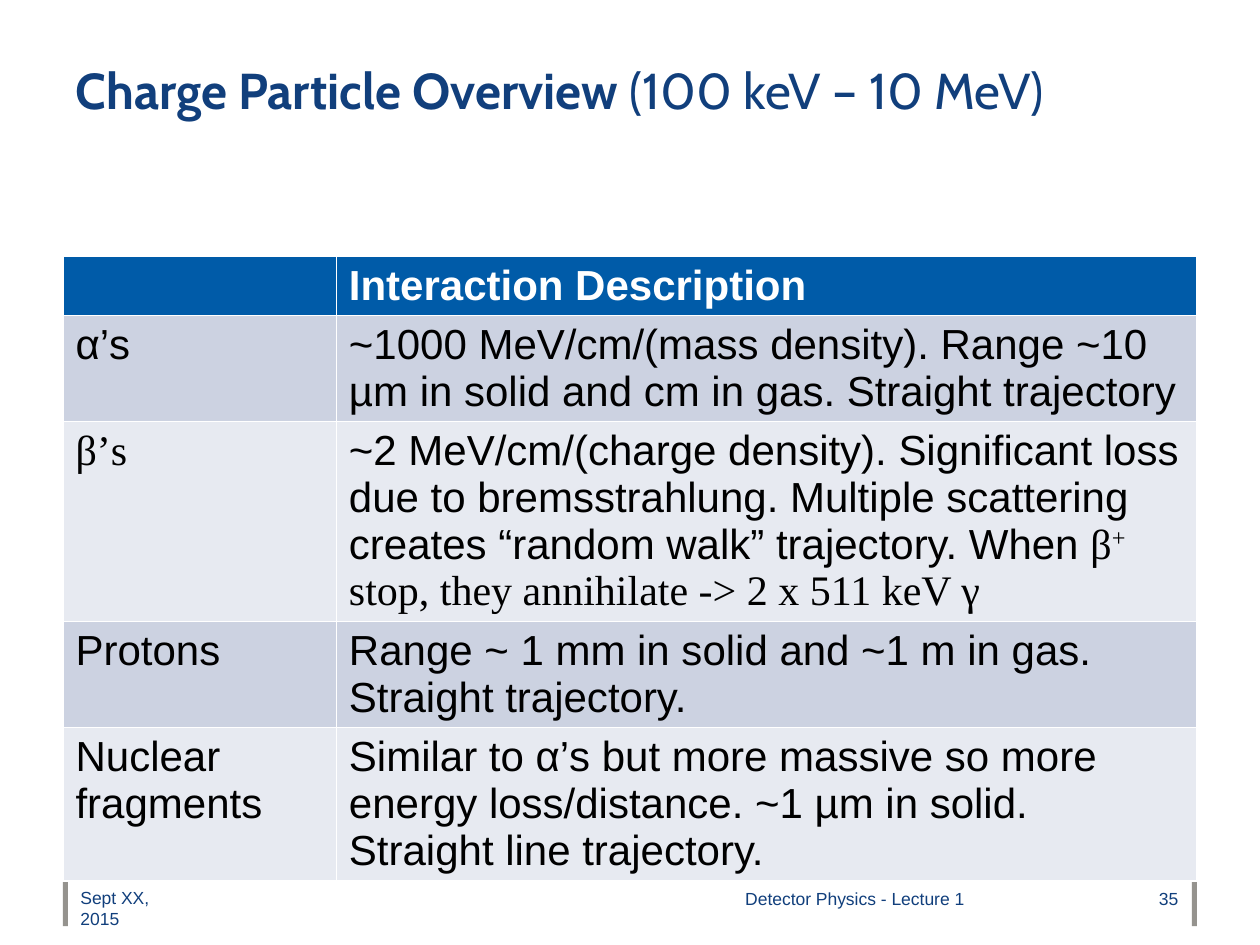
from pptx import Presentation
from pptx.dml.color import RGBColor
from pptx.enum.shapes import MSO_SHAPE
from pptx.enum.text import MSO_ANCHOR, PP_ALIGN
from pptx.util import Inches, Pt

COLORS = {
    "navy": "113F7C", "header": "005BA8", "band_dark": "CCD2E1",
    "band_light": "E7EAF1", "bar": "95938E", "white": "FFFFFF", "black": "000000",
}
SANS, SERIF, TITLE_FONT = "Arial", "Times New Roman", "Cabin"


def color(name):
    return RGBColor.from_string(COLORS[name])


def add_run(paragraph, text, size, font, color_name, bold=False):
    run = paragraph.add_run()
    run.text = text
    run.font.size = Pt(size)
    run.font.name = font
    run.font.bold = bold
    run.font.color.rgb = color(color_name)
    return run


prs = Presentation()
prs.slide_width, prs.slide_height = Inches(10), Inches(7.5)
slide = prs.slides.add_slide(prs.slide_layouts[5])

# Footer bars
for left in (0.5, 9.46):
    bar = slide.shapes.add_shape(
        MSO_SHAPE.RECTANGLE, Inches(left), Inches(7), Inches(0.04), Inches(0.35))
    bar.shadow.inherit = False
    bar.fill.solid()
    bar.fill.fore_color.rgb = color("bar")
    bar.line.fill.background()

# Title
title = slide.shapes.title
title.left, title.top = Inches(0.5), Inches(0.41)
title.width, title.height = Inches(9), Inches(0.66)
title.text_frame.vertical_anchor = MSO_ANCHOR.MIDDLE
heading = title.text_frame.paragraphs[0]
heading.alignment = PP_ALIGN.LEFT
heading.line_spacing = Pt(30.4)
add_run(heading, "Charge Particle Overview ", 28.8, TITLE_FONT, "navy", True)
add_run(heading, "(100 keV – 10 MeV)", 28.8, TITLE_FONT, "navy")

# Interaction table: each cell is a list of (text, font) runs
interactions = [
    [[], [("Interaction Description", SANS)]],
    [[("α’s", SANS)],
     [("~1000 MeV/cm/(mass density). Range ~10 µm in solid and cm in gas. "
       "Straight trajectory", SANS)]],
    [[("β’s", SERIF)],
     [("~2 MeV/cm/(charge density). Significant loss due to bremsstrahlung. "
       "Multiple scattering creates “random walk” trajectory. When ", SANS),
      ("β", SERIF), ("+", SERIF),
      (" stop, they annihilate -> 2 x 511 keV γ", SERIF)]],
    [[("Protons", SANS)],
     [("Range ~ 1 mm in solid and ~1 m in gas. Straight trajectory.", SANS)]],
    [[("Nuclear fragments", SANS)],
     [("Similar to α’s but more massive so more energy loss/distance. "
       "~1 µm in solid. Straight line trajectory.", SANS)]],
]
row_height = Inches(0.41)
table = slide.shapes.add_table(
    len(interactions), 2, Inches(0.5), Inches(2.03), Inches(9),
    row_height * len(interactions)).table
table.columns[0].width, table.columns[1].width = Inches(2.17), Inches(6.83)

for r, row in enumerate(interactions):
    is_header = r == 0
    band = "header" if is_header else ("band_light", "band_dark")[r % 2]
    for c, parts in enumerate(row):
        cell = table.cell(r, c)
        cell.fill.solid()
        cell.fill.fore_color.rgb = color(band)
        for text, font in parts:
            run = add_run(cell.text_frame.paragraphs[0], text, 24, font,
                          "white" if is_header else "black", is_header)
            if text == "+":
                run.font._element.set("baseline", "30000")

# Footer texts
footers = [
    ("Sept XX, 2015", 0.54, 6.99, 0.87, PP_ALIGN.LEFT),
    ("Detector Physics - Lecture 1", 2.63, 7, 5.12, PP_ALIGN.RIGHT),
    ("35", 7.88, 7, 1.57, PP_ALIGN.RIGHT),
]
for text, left, top, width, alignment in footers:
    footer = slide.shapes.add_textbox(
        Inches(left), Inches(top), Inches(width), Inches(0.52)).text_frame
    footer.word_wrap = True
    footer.paragraphs[0].alignment = alignment
    add_run(footer.paragraphs[0], text, 10, SANS, "navy")

prs.save("out.pptx")
